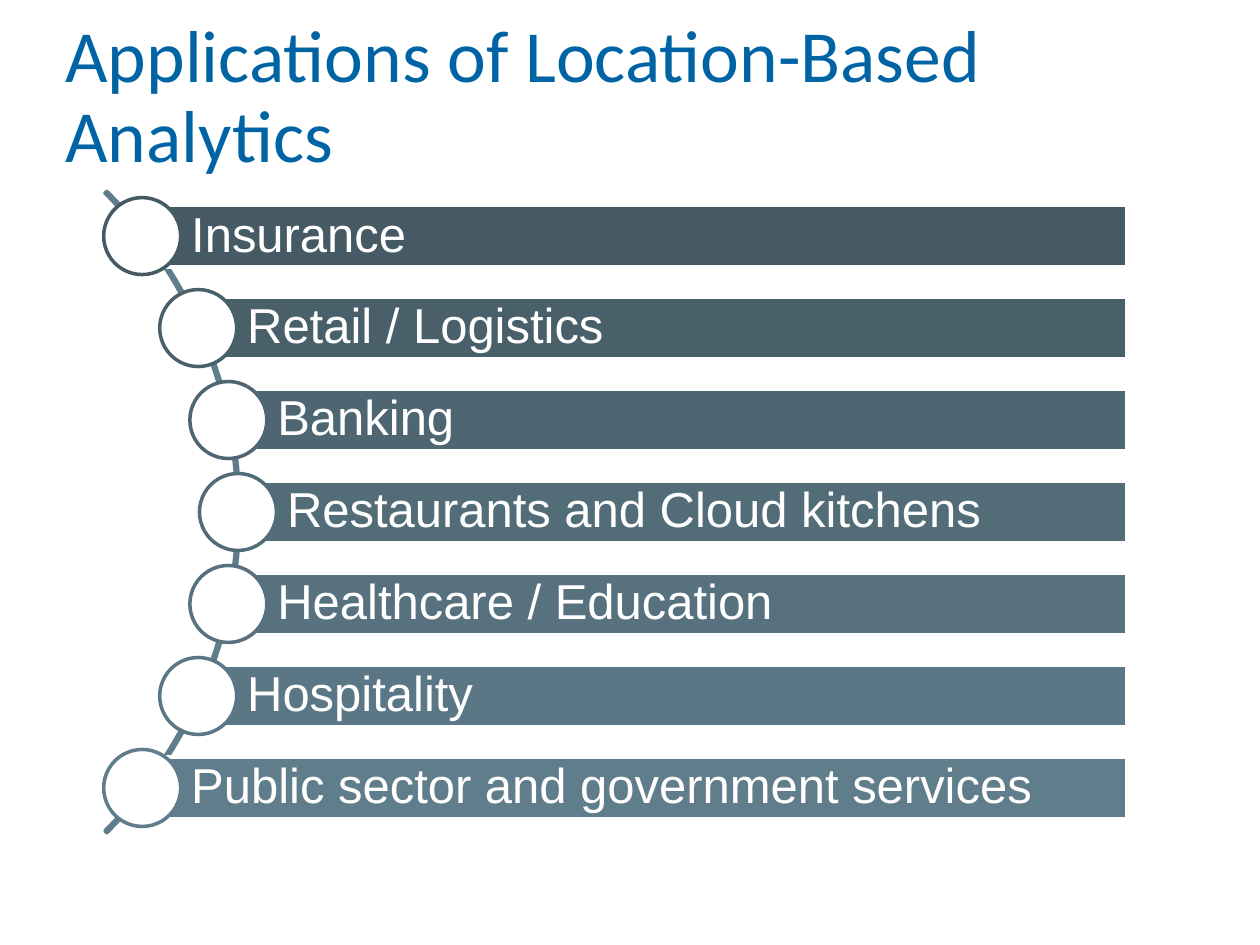
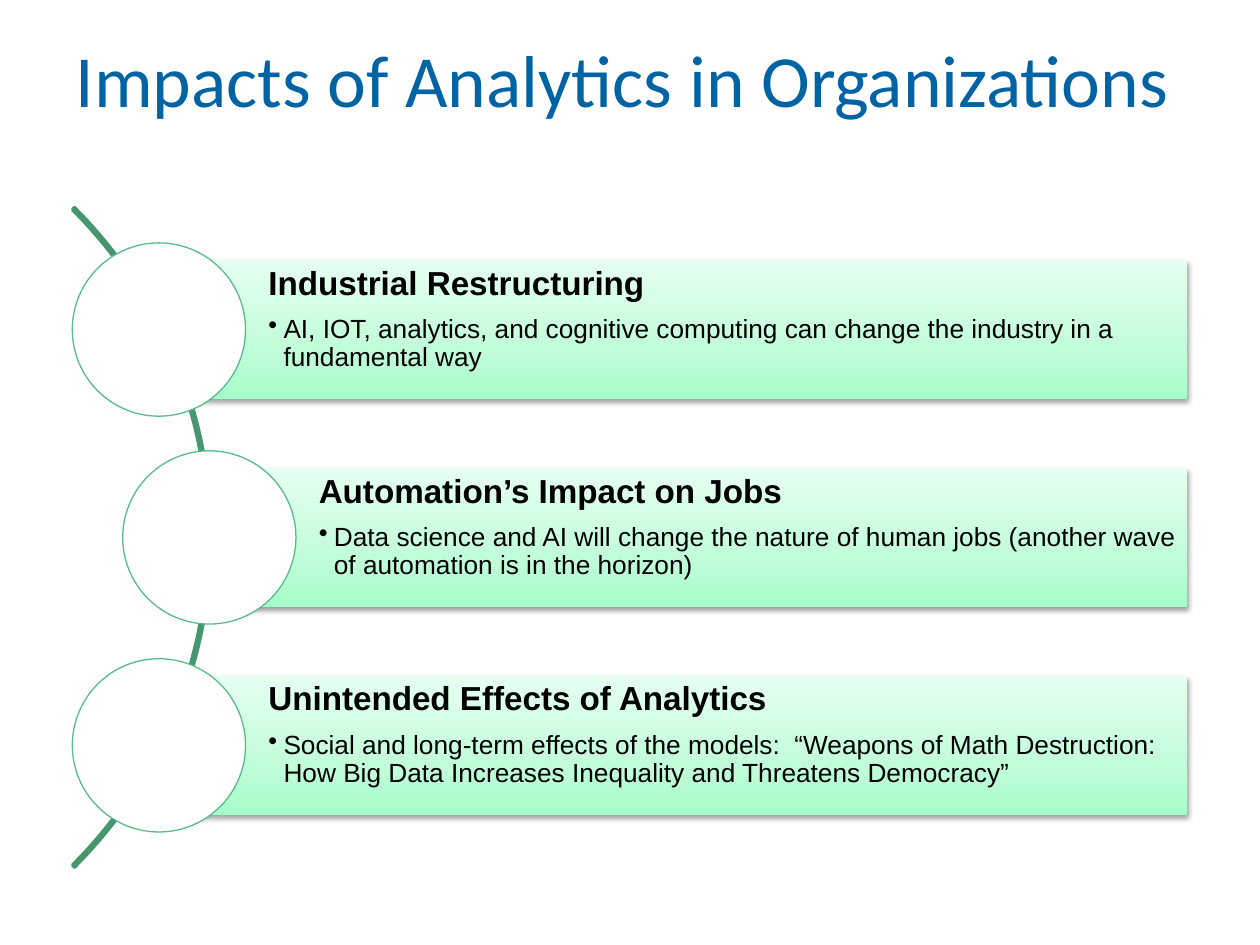
from dataclasses import dataclass
from math import sqrt

from pptx import Presentation, oxml
from pptx import util as u
from pptx.dml.color import RGBColor
from pptx.enum import shapes, text
from pptx.oxml.ns import nsdecls, qn

HUES = {
    "title": "0064A4", "white": "FFFFFF", "black": "000000",
    "slate1": "455A64", "slate2": "49606B", "slate3": "4E6671", "slate4": "526C78",
    "slate5": "57717E", "slate6": "5B7785", "slate7": "607D8B",
    "arc": "46966F", "ring": "57BB8A",
    "mint1": "A6FDCA", "mint2": "C1FDD9", "mint3": "E6FFF0",
}


@dataclass
class Item:
    head: str
    body: str = ""


@dataclass
class Fan:
    """Bars and circles set along an arc; lengths in points, x and y at the middle circle."""
    x: float
    y: float
    right: float
    pitch: float
    radius: float
    bar: float
    disc: float
    arc: float
    hue: str
    inset: float
    pad: float


SECTORS = [Item(name) for name in (
    "Insurance", "Retail / Logistics", "Banking", "Restaurants and Cloud kitchens",
    "Healthcare / Education", "Hospitality", "Public sector and government services")]

IMPACTS = [
    Item("Industrial Restructuring",
         "AI, IOT, analytics, and cognitive computing can change the industry "
         "in a fundamental way"),
    Item("Automation’s Impact on Jobs",
         "Data science and AI will change the nature of human jobs "
         "(another wave of automation is in the horizon)"),
    Item("Unintended Effects of Analytics",
         "Social and long-term effects of the models:  “Weapons of Math Destruction: "
         "How Big Data Increases Inequality and Threatens Democracy”"),
]

SECTOR_FAN = Fan(x=136, y=292.6, right=643.7, pitch=52.56, radius=254.5, bar=35.2,
                 disc=44, arc=518.4, hue="slate7", inset=28, pad=5.8)
IMPACT_FAN = Fan(x=119.6, y=307.1, right=678.3, pitch=118.8, radius=259.4, bar=79.2,
                 disc=99, arc=532.8, hue="arc", inset=62.6, pad=3.6)


def rgb(hue: str) -> RGBColor:
    return RGBColor.from_string(HUES[hue])


def style(para, font: str, size: float, hue: str, bold: bool = False) -> None:
    para.alignment = text.PP_ALIGN.LEFT
    para.line_spacing = 0.9
    para.font.name = font
    para.font.size = u.Pt(size)
    para.font.bold = bold
    para.font.color.rgb = rgb(hue)


def add_slide(deck, title: str, left: float, top: float, width: float, height: float):
    slide = deck.slides.add_slide(deck.slide_layouts[5])
    box = slide.shapes.title
    box.left, box.top, box.width, box.height = map(u.Pt, (left, top, width, height))
    frame = box.text_frame
    frame.text = title
    frame.word_wrap = True
    frame.auto_size = text.MSO_AUTO_SIZE.NONE
    frame.vertical_anchor = text.MSO_ANCHOR.MIDDLE
    style(frame.paragraphs[0], "Calibri", 42, "title")
    return slide


def add_shape(slide, kind, left: float, top: float, width: float, height: float,
              fill: str = "", line: str = "", weight: float = 2):
    shape = slide.shapes.add_shape(kind, *map(u.Pt, (left, top, width, height)))
    shape.shadow.inherit = False
    if fill:
        shape.fill.solid()
        shape.fill.fore_color.rgb = rgb(fill)
    else:
        shape.fill.background()
    if line:
        shape.line.color.rgb = rgb(line)
        shape.line.width = u.Pt(weight)
    else:
        shape.line.fill.background()
    return shape


def add_arc(slide, fan: Fan) -> None:
    arc = add_shape(slide, shapes.MSO_SHAPE.BLOCK_ARC, fan.x + 1 - fan.arc,
                    fan.y - fan.arc / 2, fan.arc, fan.arc, line=fan.hue)
    for i, value in enumerate((189, 27, 0.003)):
        arc.adjustments[i] = value


def spot(fan: Fan, i: int, count: int) -> tuple[float, float]:
    """Centre of circle i on the arc."""
    rise = (i - (count - 1) / 2) * fan.pitch
    return fan.x - fan.radius + sqrt(fan.radius ** 2 - rise ** 2), fan.y + rise


def add_bar(slide, fan: Fan, x: float, y: float, fill: str = "", line: str = ""):
    bar = add_shape(slide, shapes.MSO_SHAPE.RECTANGLE, x, y - fan.bar / 2,
                    fan.right - x, fan.bar, fill, line)
    frame = bar.text_frame
    frame.word_wrap = True
    frame.margin_left = u.Pt(fan.inset)
    frame.margin_top = frame.margin_right = frame.margin_bottom = u.Pt(fan.pad)
    return bar


def add_disc(slide, fan: Fan, x: float, y: float, line: str, weight: float) -> None:
    half = fan.disc / 2
    add_shape(slide, shapes.MSO_SHAPE.OVAL, x - half, y - half, fan.disc, fan.disc,
              "white", line, weight)


def add_glow(bar) -> None:
    """Give a bar its mint gradient and soft drop shadow."""
    props = bar._element.spPr
    stops = "".join(
        f'<a:gs pos="{pos}"><a:srgbClr val="{HUES[hue]}"/></a:gs>'
        for pos, hue in ((0, "mint1"), (35000, "mint2"), (100000, "mint3")))
    props.replace(props.find(qn("a:noFill")), oxml.parse_xml(
        f'<a:gradFill {nsdecls("a")} rotWithShape="1"><a:gsLst>{stops}</a:gsLst>'
        '<a:lin ang="16200000" scaled="0"/></a:gradFill>'))
    props.find(qn("a:effectLst")).append(oxml.parse_xml(
        f'<a:outerShdw {nsdecls("a")} blurRad="{u.Pt(3.1)}" dist="{u.Pt(1.6)}" '
        f'dir="5400000" rotWithShape="0"><a:srgbClr val="{HUES["black"]}">'
        '<a:alpha val="38000"/></a:srgbClr></a:outerShdw>'))


def add_bullet(para) -> None:
    props = para._p.get_or_add_pPr()
    props.set("marL", str(u.Pt(8.64)))
    props.set("indent", str(-u.Pt(8.64)))
    props.append(oxml.parse_xml(
        f'<a:buClr {nsdecls("a")}><a:srgbClr val="{HUES["black"]}"/></a:buClr>'))
    props.append(oxml.parse_xml(f'<a:buChar {nsdecls("a")} char="•"/>'))


def draw_sectors(deck) -> None:
    slide = add_slide(deck, "Applications of Location-Based Analytics", 30.2, 28.8, 655.2, 55.4)
    fan = SECTOR_FAN
    add_arc(slide, fan)
    for i, item in enumerate(SECTORS):
        x, y = spot(fan, i, len(SECTORS))
        hue = f"slate{i + 1}"
        frame = add_bar(slide, fan, x, y, hue, "white").text_frame
        frame.vertical_anchor = text.MSO_ANCHOR.MIDDLE
        frame.text = item.head
        style(frame.paragraphs[0], "Arial", 28, "white")
        add_disc(slide, fan, x, y, hue, 2)


def draw_impacts(deck) -> None:
    slide = add_slide(deck, "Impacts of Analytics in Organizations", 36, 17.3, 648, 61.2)
    fan = IMPACT_FAN
    add_arc(slide, fan)
    for i, item in enumerate(IMPACTS):
        x, y = spot(fan, i, len(IMPACTS))
        bar = add_bar(slide, fan, x, y)
        add_glow(bar)
        frame = bar.text_frame
        frame.vertical_anchor = text.MSO_ANCHOR.TOP
        frame.text = f"{item.head}\n{item.body}"
        head, body = frame.paragraphs
        style(head, "Arial", 19, "black", True)
        head.space_after = u.Pt(7.6)
        body.level = 1
        add_bullet(body)
        style(body, "Arial", 15, "black")
        add_disc(slide, fan, x, y, "ring", 0.75)


def main() -> None:
    deck = Presentation()
    deck.slide_width, deck.slide_height = u.Pt(720), u.Pt(540)
    draw_sectors(deck)
    draw_impacts(deck)
    deck.save("out.pptx")


if __name__ == "__main__":
    main()
